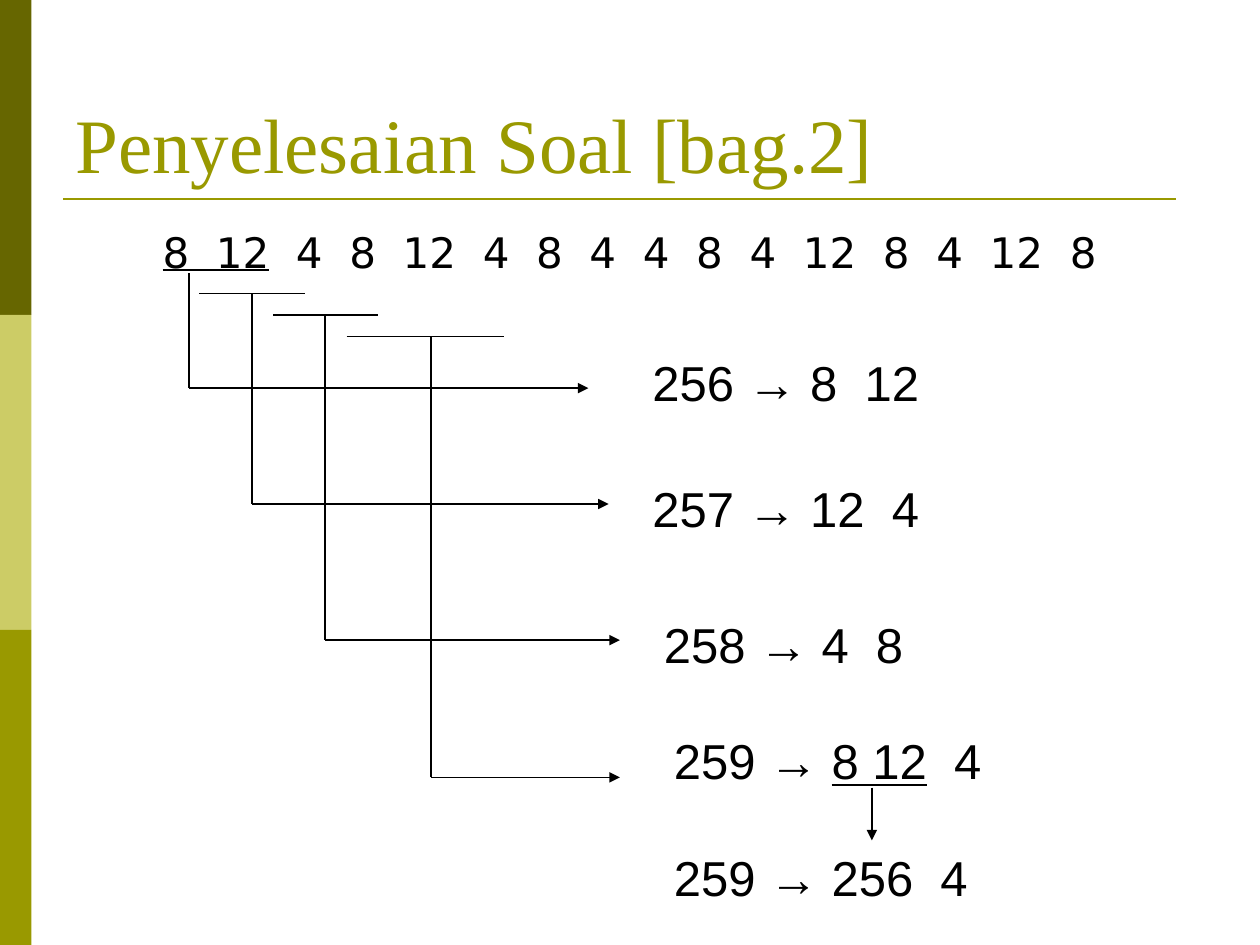
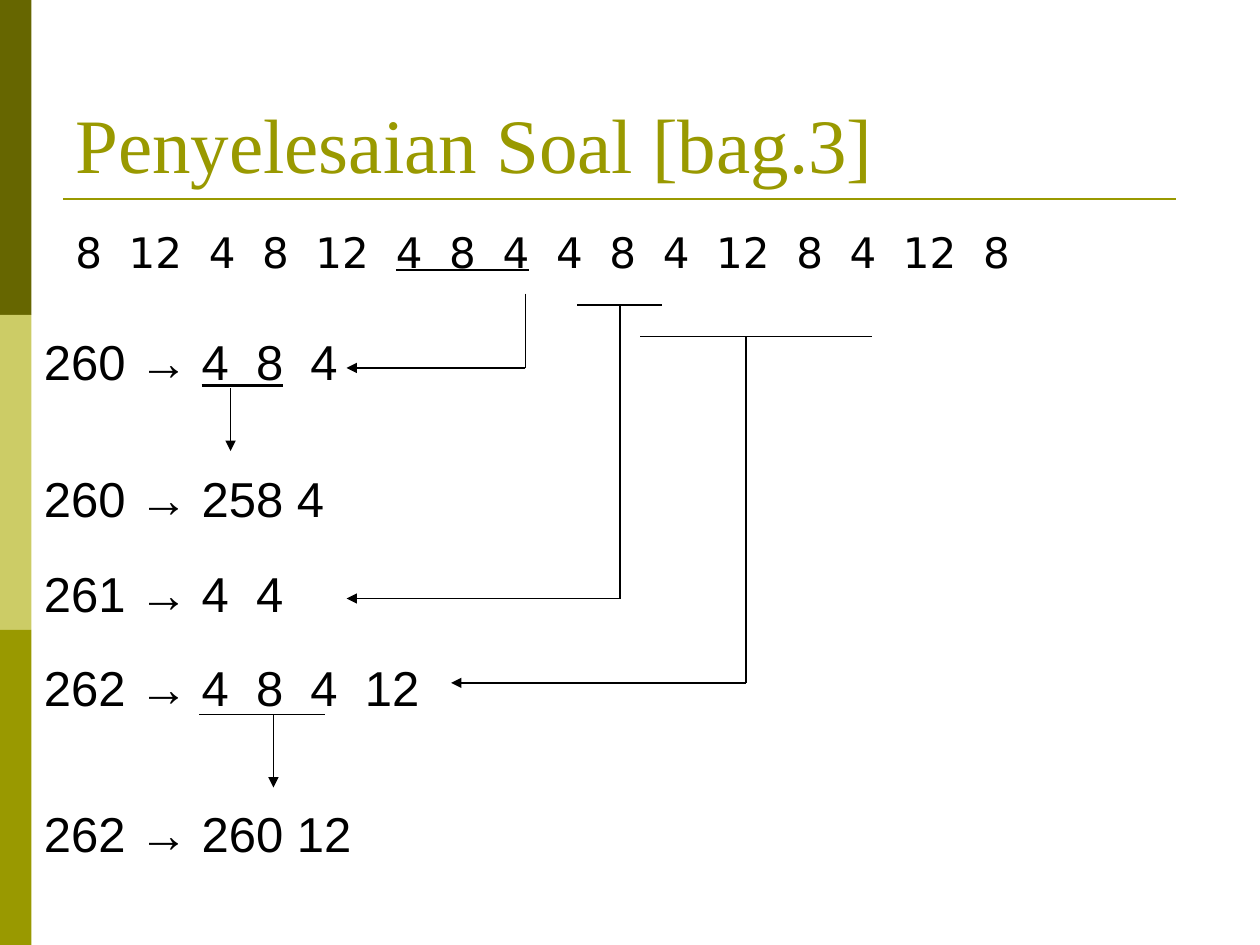
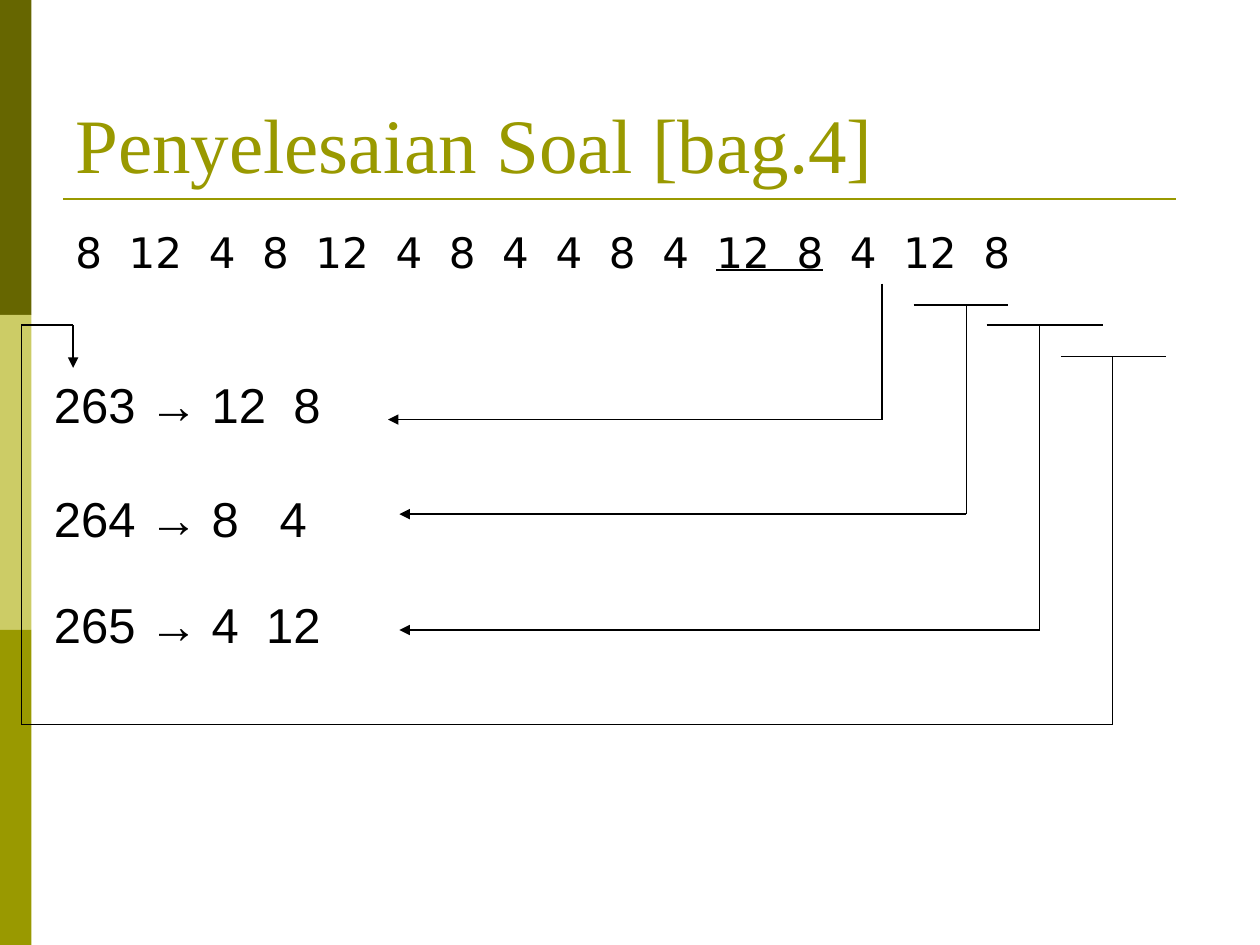
from collections import namedtuple
from itertools import pairwise

from pptx import Presentation
from pptx.dml.color import RGBColor
from pptx.enum import shapes, text
from pptx.oxml import ns
from pptx.util import Inches, Pt
from lxml import etree

Box = namedtuple("Box", "x y w h")
Style = namedtuple("Style", "font size color before")

INK, OLIVE, DARK, PALE = "000000", "999900", "666600", "CCCC66"
TITLE = Style("Times New Roman", 44, OLIVE, 0)
SEQUENCE = Style("DejaVu Sans", 24, INK, 6)
ENTRY = Style("Arial", 28, INK, 17.5)

SIDEBAR = Box(0, 0, 0.25, 7.5)
HEADER = Box(0.5, 0.3, 9, 1.25)
CODES = Box(0.5, 1.75, 9, 0.75)
DIAGRAM = Box(0, 1.75, 10, 5.75)


def rgb(value):
    return RGBColor.from_string(value)


def add_text(s, box, content, style, anchor=text.MSO_ANCHOR.TOP):
    sp = s.shapes.add_textbox(*map(Inches, box))
    tf = sp.text_frame
    tf.word_wrap = True
    tf.vertical_anchor = anchor
    p = tf.paragraphs[0]
    p.space_before = Pt(style.before)
    for i, part in enumerate(content.split("_")):
        if part:
            r = p.add_run()
            r.text = part
            r.font.name = style.font
            r.font.size = Pt(style.size)
            r.font.color.rgb = rgb(style.color)
            r.font.underline = i % 2 == 1
    return p


def add_line(s, start, end, color=INK, width=0.75, arrow=False):
    c = s.shapes.add_connector(
        shapes.MSO_CONNECTOR.STRAIGHT, *map(Inches, (*start, *end)))
    c.line.color.rgb = rgb(color)
    c.line.width = Pt(width)
    if arrow:
        etree.SubElement(c.line._get_or_add_ln(), ns.qn("a:tailEnd"), type="triangle")
    etree.SubElement(c._element.spPr, ns.qn("a:effectLst"))


def add_sidebar(s, box):
    h = box.h / 3
    for i, color in enumerate((DARK, PALE, OLIVE)):
        sp = s.shapes.add_shape(
            shapes.MSO_SHAPE.RECTANGLE,
            *map(Inches, (box.x, box.y + i * h, box.w, h)))
        sp.shadow.inherit = False
        sp.fill.solid()
        sp.fill.fore_color.rgb = rgb(color)
        sp.line.fill.background()


def add_header(s, box, title):
    y = box.y + box.h + 0.03
    add_line(s, (box.x, y), (box.x + 8.83, y), OLIVE, 1.5)
    add_text(s, box, title, TITLE, text.MSO_ANCHOR.BOTTOM)


def add_entries(s, box, entries):
    for dx, dy, content in entries:
        add_text(s, Box(box.x + dx, box.y + dy, box.w, box.h), content, ENTRY)


def add_trace(s, box, points, bar=None):
    route = [(box.x + x, box.y + y) for x, y in points]
    if bar:
        left, right = bar
        y = route[0][1]
        add_line(s, (box.x + left, y), (box.x + right, y))
    legs = list(pairwise(route))
    for i, (start, end) in enumerate(legs, 1):
        add_line(s, start, end, arrow=i == len(legs))


def elbow(stem, top, turn, tip):
    return [(stem, top), (stem, turn), (tip, turn)]


def drop(x, top, bottom):
    return [(x, top), (x, bottom)]


def add_solution(prs, part, codes, column, entries, traces, align=None):
    s = prs.slides.add_slide(prs.slide_layouts[6])
    add_sidebar(s, SIDEBAR)
    add_header(s, HEADER, f"Penyelesaian Soal [bag.{part}]")
    p = add_text(s, CODES, codes, SEQUENCE)
    p.alignment = align
    pPr = p._p.get_or_add_pPr()
    pPr.set("marL", str(Inches(0.38)))
    pPr.set("indent", str(-Inches(0.38)))
    add_entries(s, column, entries)
    for trace in traces:
        add_trace(s, DIAGRAM, *trace)


def main():
    prs = Presentation()
    prs.slide_width, prs.slide_height = Inches(10), Inches(7.5)

    add_solution(
        prs, 2, "_8  12_  4  8  12  4  8  4  4  8  4  12  8  4  12  8",
        Box(5.08, 2.75, 3.92, 0.57),
        [(0, 0, "256 → 8  12"),
         (0, 1, "257 → 12  4"),
         (0.09, 2.08, "258 → 4  8"),
         (0.17, 3, "259 → _8 12_  4"),
         (0.17, 3.93, "259 → 256  4")],
        [(elbow(1.5, 0.42, 1.33, 4.67),),
         (elbow(2, 0.58, 2.25, 4.83), (1.58, 2.42)),
         (elbow(2.58, 0.75, 3.33, 4.92), (2.17, 3)),
         (elbow(3.42, 0.92, 4.42, 4.92), (2.75, 4)),
         (drop(6.92, 4.5, 4.92),)],
        text.PP_ALIGN.CENTER)

    add_solution(
        prs, 3, "8  12  4  8  12  _4  8  4_  4  8  4  12  8  4  12  8",
        Box(0.25, 2.58, 3.92, 0.57),
        [(0, 0, "260 → _4  8_  4"),
         (0, 1.09, "260 → 258 4"),
         (0, 1.84, "261 → 4  4"),
         (0, 2.59, "262 → 4  8  4  12"),
         (0, 3.75, "262 → 260 12")],
        [(elbow(4.17, 0.58, 1.17, 2.75),),
         (drop(1.83, 1.33, 1.83),),
         (elbow(4.92, 0.67, 3, 2.75), (4.58, 5.25)),
         (elbow(5.92, 0.92, 3.67, 3.58), (5.08, 6.92)),
         (drop(2.17, 3.92, 4.5), (1.58, 2.58))])

    add_solution(
        prs, 4, "8  12  4  8  12  4  8  4  4  8  4  _12  8_  4  12  8",
        Box(0.33, 2.92, 2.83, 0.57),
        [(0, 0, "263 → 12  8"),
         (0, 0.91, "264 → 8   4"),
         (0, 1.75, "265 → 4  12")],
        [(elbow(7, 0.5, 1.58, 3.08),),
         (elbow(7.67, 0.67, 2.33, 3.17), (7.25, 8)),
         (elbow(8.25, 0.83, 3.25, 3.17), (7.83, 8.75)),
         ([(8.83, 1.08), (8.83, 4), (0.17, 4), (0.17, 0.83),
           (0.58, 0.83), (0.58, 1.17)], (8.42, 9.25))])

    prs.save("out.pptx")


if __name__ == "__main__":
    main()
